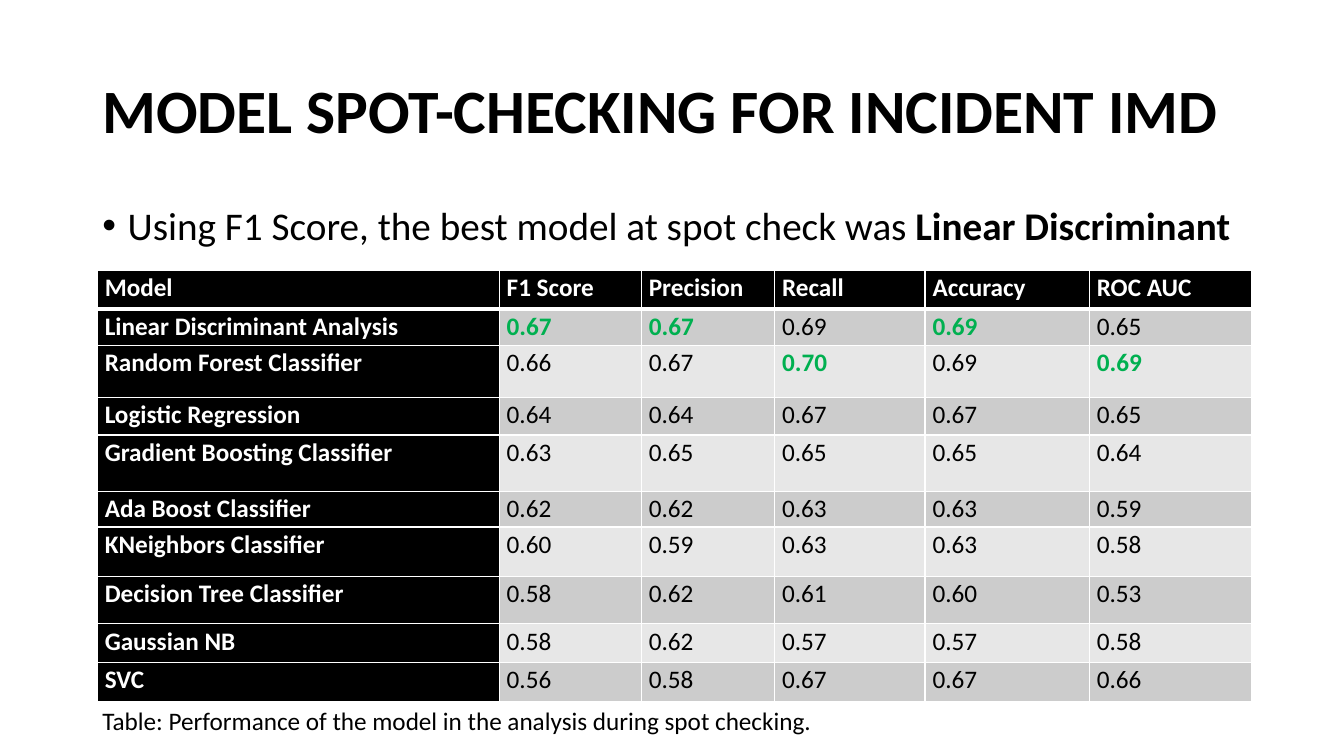
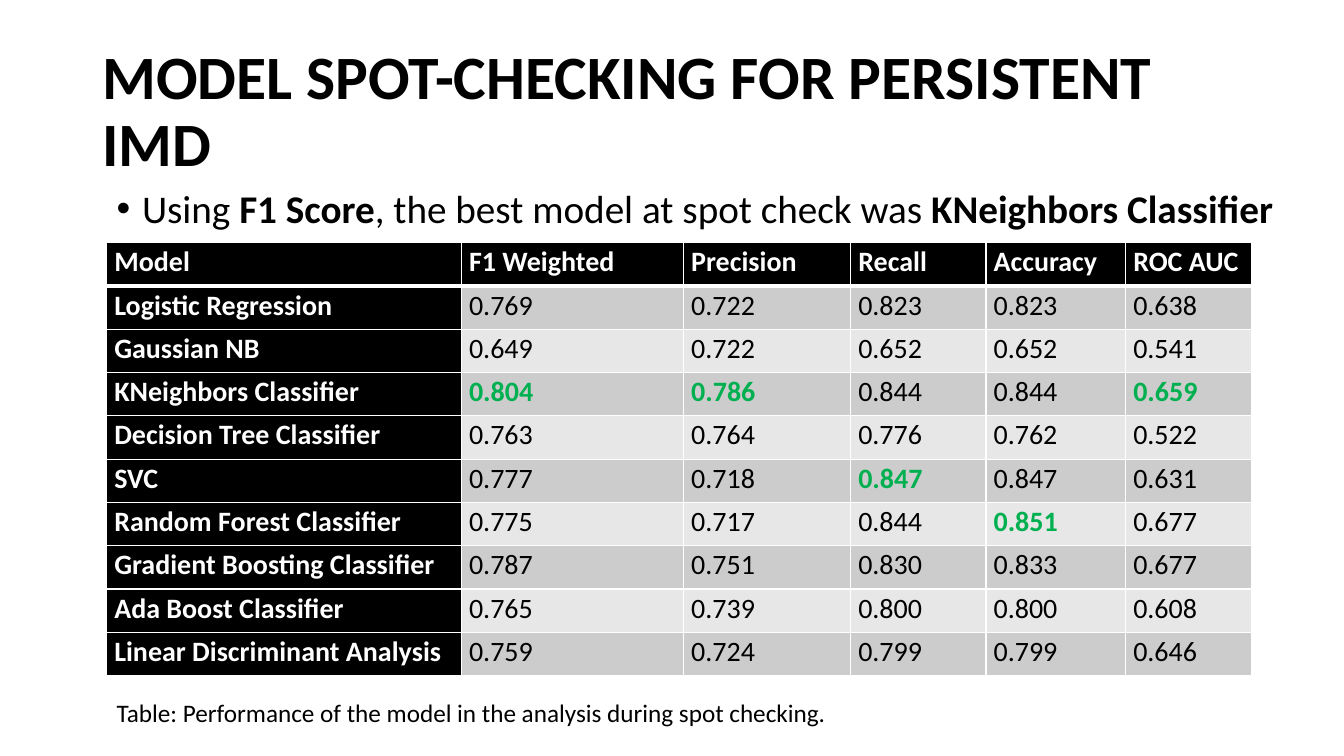
from lxml.etree import SubElement
from pptx import Presentation
from pptx.dml.color import RGBColor
from pptx.enum.text import MSO_ANCHOR as Anchor
from pptx.oxml import parse_xml
from pptx.oxml.ns import nsdecls, qn
from pptx.util import Cm, Pt

FONT = "Calibri"
BLACK, WHITE, GREEN = "000000", "FFFFFF", "00B050"
BANDS = ("CCCCCC", "E7E7E7")
TITLE_BOX = (2.33, 1.01, 29.21, 3.68)
CAPTION = "Table: Performance of the model in the analysis during spot checking."

INCIDENT = [
    ("Model", "F1 Score", "Precision", "Recall", "Accuracy", "ROC AUC"),
    ("Linear Discriminant Analysis", "0.67", "0.67", "0.69", "0.69", "0.65"),
    ("Random Forest Classifier", "0.66", "0.67", "0.70", "0.69", "0.69"),
    ("Logistic Regression", "0.64", "0.64", "0.67", "0.67", "0.65"),
    ("Gradient Boosting Classifier", "0.63", "0.65", "0.65", "0.65", "0.64"),
    ("Ada Boost Classifier", "0.62", "0.62", "0.63", "0.63", "0.59"),
    ("KNeighbors Classifier", "0.60", "0.59", "0.63", "0.63", "0.58"),
    ("Decision Tree Classifier", "0.58", "0.62", "0.61", "0.60", "0.53"),
    ("Gaussian NB", "0.58", "0.62", "0.57", "0.57", "0.58"),
    ("SVC", "0.56", "0.58", "0.67", "0.67", "0.66"),
]
PERSISTENT = [
    ("Model", "F1 Weighted", "Precision", "Recall", "Accuracy", "ROC AUC"),
    ("Logistic Regression", "0.769", "0.722", "0.823", "0.823", "0.638"),
    ("Gaussian NB", "0.649", "0.722", "0.652", "0.652", "0.541"),
    ("KNeighbors Classifier", "0.804", "0.786", "0.844", "0.844", "0.659"),
    ("Decision Tree Classifier", "0.763", "0.764", "0.776", "0.762", "0.522"),
    ("SVC", "0.777", "0.718", "0.847", "0.847", "0.631"),
    ("Random Forest Classifier", "0.775", "0.717", "0.844", "0.851", "0.677"),
    ("Gradient Boosting Classifier", "0.787", "0.751", "0.830", "0.833", "0.677"),
    ("Ada Boost Classifier", "0.765", "0.739", "0.800", "0.800", "0.608"),
    ("Linear Discriminant Analysis", "0.759", "0.724", "0.799", "0.799", "0.646"),
]
# Highlighted scores, as (row, column)
INCIDENT_BEST = {(1, 1), (1, 2), (1, 4), (2, 3), (2, 5)}
PERSISTENT_BEST = {(3, 1), (3, 2), (3, 5), (5, 3), (6, 4)}


def rgb(color):
    return RGBColor.from_string(color)


def style(r, size, color=BLACK, bold=False):
    f = r.font
    f.name, f.size, f.bold = FONT, Pt(size), bold
    f.color.rgb = rgb(color)


def add_text(s, box, runs, size, spacing=None, anchor=Anchor.TOP, bullet=False):
    """Place one paragraph made of (text, bold) runs."""
    tf = s.shapes.add_textbox(*map(Cm, box)).text_frame
    tf.word_wrap = True
    tf.vertical_anchor = anchor
    p = tf.paragraphs[0]
    if bullet:
        pPr = p._p.get_or_add_pPr()
        pPr.set("marL", str(Cm(0.64)))
        pPr.set("indent", str(-Cm(0.64)))
        SubElement(pPr, qn("a:buFont")).set("typeface", "Arial")
        SubElement(pPr, qn("a:buChar")).set("char", "•")
    if spacing:
        p.line_spacing = spacing
    for text, bold in runs:
        r = p.add_run()
        r.text = text
        style(r, size, bold=bold)


def set_borders(cell, top, bottom):
    """Draw white borders; the widths are in points."""
    tcPr = cell._tc.get_or_add_tcPr()
    for i, (side, width) in enumerate(zip("LRTB", (1, 1, top, bottom))):
        tcPr.insert(i, parse_xml(
            f'<a:ln{side} {nsdecls("a")} w="{Pt(width)}"><a:solidFill>'
            f'<a:srgbClr val="{WHITE}"/></a:solidFill></a:ln{side}>'))


def add_scores(s, left, top, widths, heights, data, best, size):
    box = map(Cm, (left, top, sum(widths), sum(heights)))
    tbl = s.shapes.add_table(len(data), len(widths), *box).table
    tbl.horz_banding = False
    for col, width in zip(tbl.columns, widths):
        col.width = Cm(width)
    for row, height in zip(tbl.rows, heights):
        row.height = Cm(height)

    for i, values in enumerate(data):
        for j, value in enumerate(values):
            cell = tbl.cell(i, j)
            heading, winner = i == 0 or j == 0, (i, j) in best
            cell.margin_left = cell.margin_right = Cm(0.19)
            cell.margin_top = cell.margin_bottom = 0
            cell.fill.solid()
            cell.fill.fore_color.rgb = rgb(BLACK if heading else BANDS[(i - 1) % 2])
            set_borders(cell, 3 if i == 1 else 1, 3 if i == 0 else 1)
            p = cell.text_frame.paragraphs[0]
            p.text = value
            p.line_spacing = 1.07
            color = WHITE if heading else GREEN if winner else BLACK
            style(p.runs[0], size, color, heading or winner)


def add_slide(prs, title, finding, finding_box, caption_box, scores):
    s = prs.slides.add_slide(prs.slide_layouts[6])
    add_text(s, TITLE_BOX, [(title, True)], 44, 0.9, Anchor.MIDDLE)
    add_text(s, finding_box, finding, 28, 0.9, bullet=True)
    add_text(s, caption_box, [(CAPTION, False)], 18)
    add_scores(s, **scores)


def main():
    prs = Presentation()
    prs.slide_width, prs.slide_height = Cm(33.87), Cm(19.05)

    # Incident IMD
    add_slide(
        prs, "MODEL SPOT-CHECKING FOR INCIDENT IMD",
        [("Using F1 Score, the best model at spot check was ", False),
         ("Linear Discriminant", True)],
        (2.33, 5.07, 29.21, 1.71), (2.33, 17.65, 30.63, 1.03),
        dict(left=2.45, top=6.81, size=18, data=INCIDENT, best=INCIDENT_BEST,
             widths=(10.13, 3.58, 3.36, 3.79, 4.14, 4.09),
             heights=(0.98, 0.92, 1.31, 0.94, 1.43, 0.89, 1.24, 1.2, 0.98, 0.98)))

    # Persistent IMD
    add_slide(
        prs, "MODEL SPOT-CHECKING FOR PERSISTENT IMD",
        [("Using ", False), ("F1 Score", True),
         (", the best model at spot check was ", False),
         ("KNeighbors Classifier", True)],
        (2.69, 4.65, 30.02, 1.71), (2.69, 17.45, 30.63, 1.03),
        dict(left=2.69, top=6.12, size=20, data=PERSISTENT, best=PERSISTENT_BEST,
             widths=(8.94, 5.6, 4.21, 3.41, 3.52, 3.17),
             heights=[1.09] * len(PERSISTENT)))

    prs.save("out.pptx")


if __name__ == "__main__":
    main()
